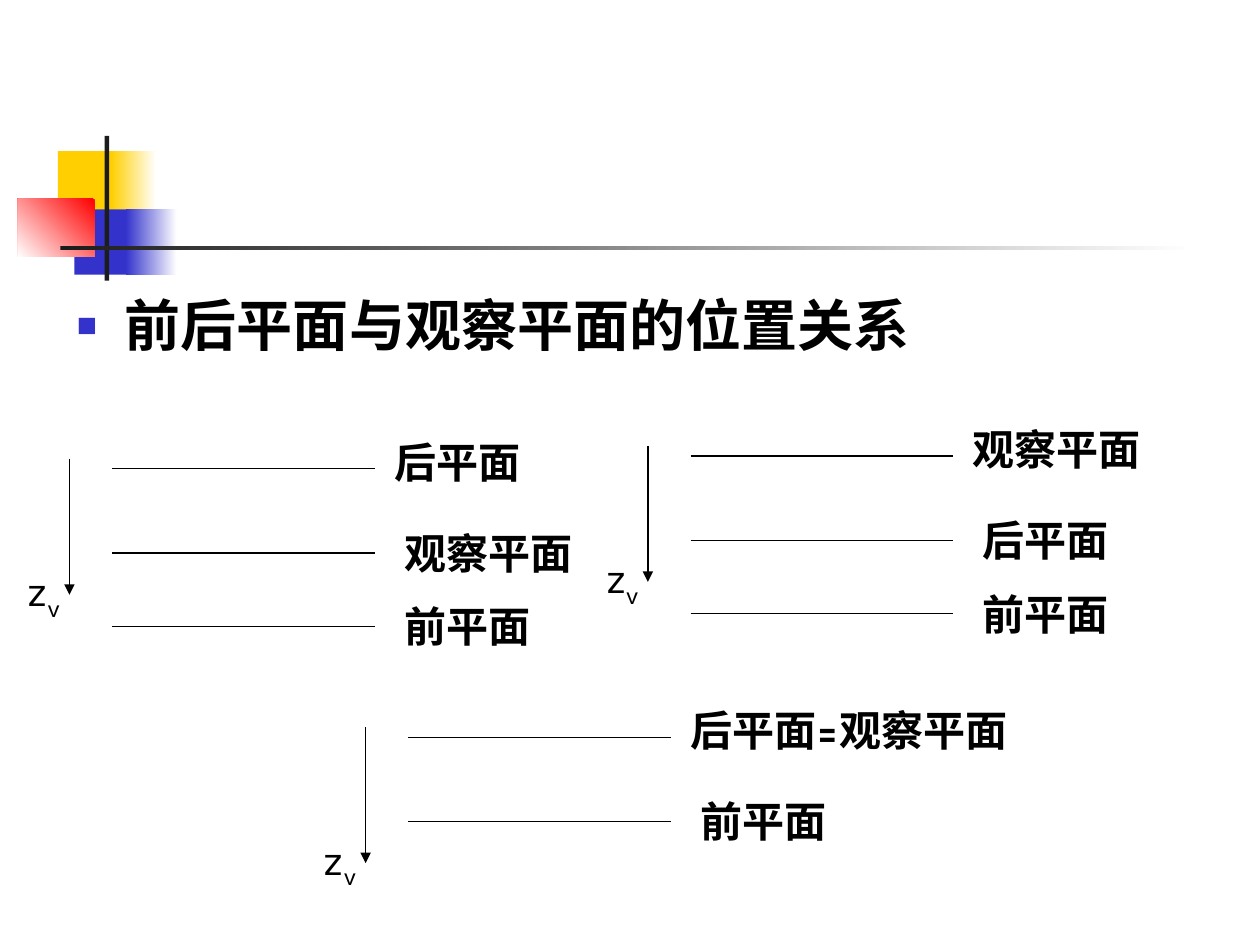
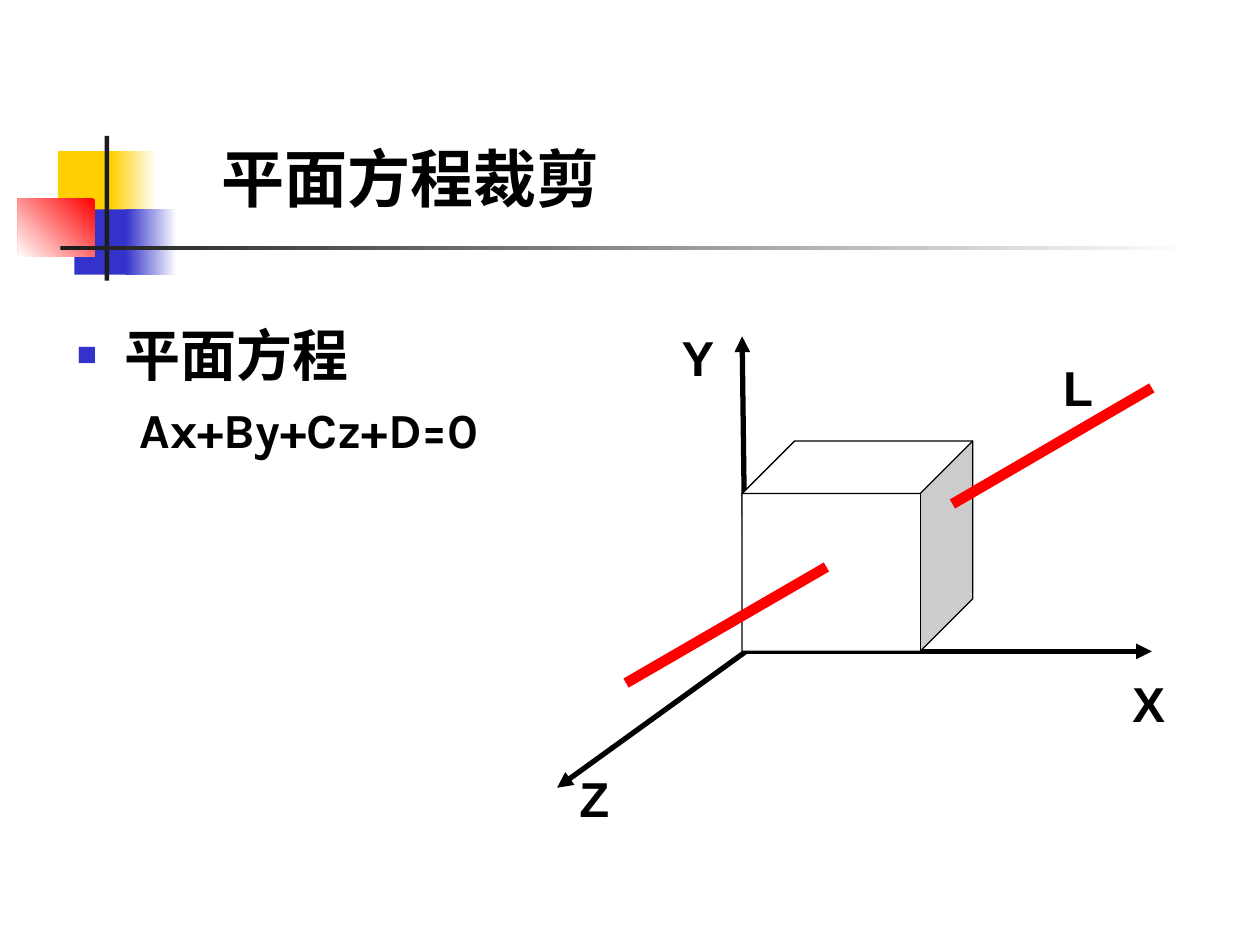
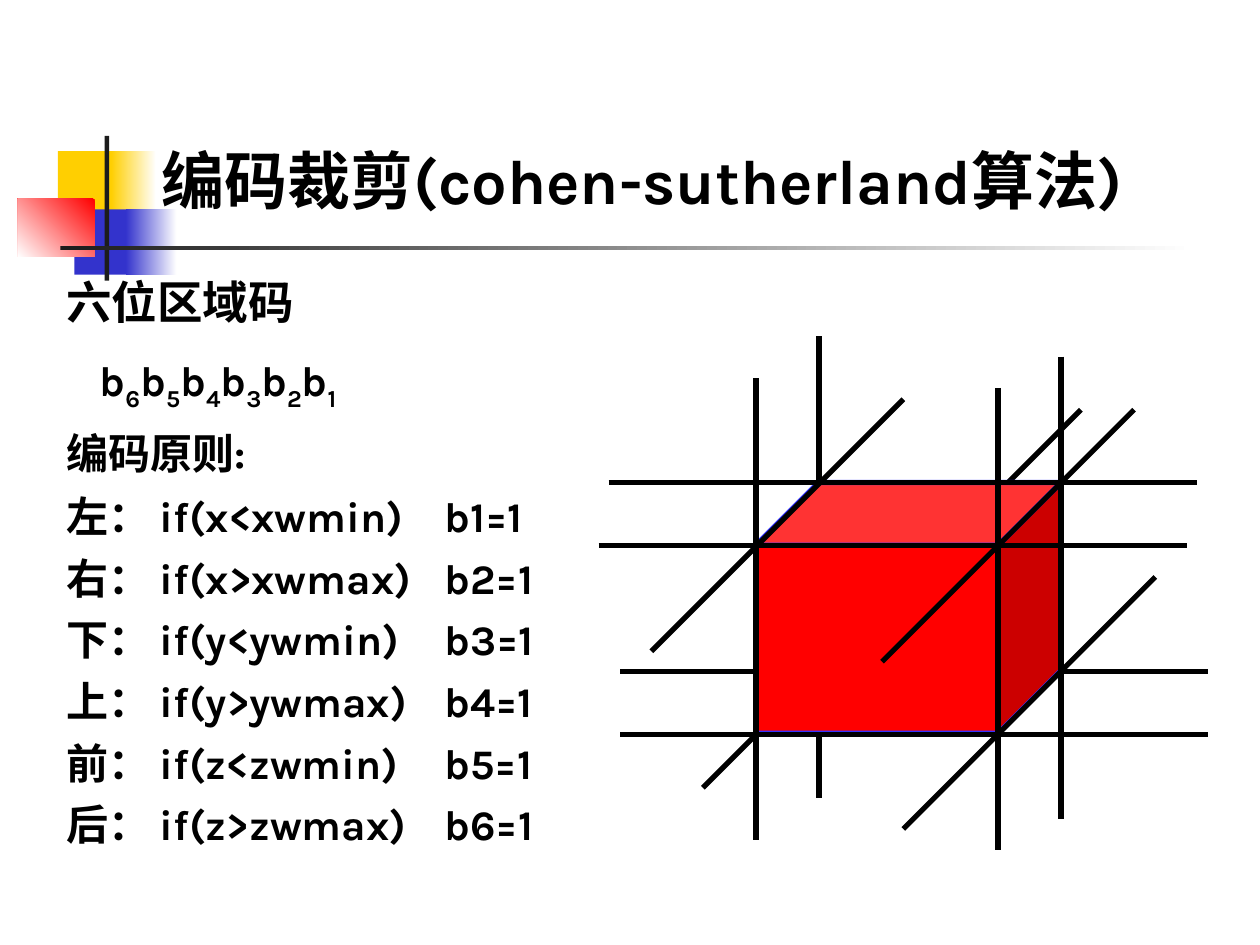
"""Builds three slides on plane positions, plane-equation clipping and region-code clipping."""
from lxml import etree
from pptx import Presentation
from pptx.dml.color import RGBColor
from pptx.enum.shapes import MSO_CONNECTOR, MSO_SHAPE
from pptx.enum.text import MSO_ANCHOR, MSO_AUTO_SIZE
from pptx.oxml.ns import qn
from pptx.util import Cm, Pt

STRAIGHT = MSO_CONNECTOR.STRAIGHT
RECTANGLE, CUBE = MSO_SHAPE.RECTANGLE, MSO_SHAPE.CUBE
TOP, BOTTOM = MSO_ANCHOR.TOP, MSO_ANCHOR.BOTTOM
FIT_SHAPE, NO_FIT = MSO_AUTO_SIZE.SHAPE_TO_FIT_TEXT, MSO_AUTO_SIZE.NONE

BLACK = RGBColor(0, 0, 0)
WHITE = RGBColor(255, 255, 255)
RED = RGBColor(255, 0, 0)
YELLOW = RGBColor(0xFF, 0xCF, 0x01)
BLUE = RGBColor(0x33, 0x33, 0xCC)
EDGE_BLUE = RGBColor(0x33, 0x33, 0xFF)
CHARCOAL = RGBColor(0x1C, 0x1C, 0x1C)

BODY_FONT, LABEL_FONT = "Karla", "Arial"

# Each band: box, colour, angle of its fade to white (None when solid).
BANDS = [
    ((1.17, 3.05, 1.22, 1.32), YELLOW, None),
    ((2.24, 3.05, 0.91, 1.32), YELLOW, 0),
    ((1.5, 4.22, 1.17, 1.32), BLUE, None),
    ((2.54, 4.22, 1.02, 1.32), BLUE, 0),
    ((0.36, 4.01, 1.55, 1.17), RED, 225),
    ((2.11, 2.74, 0.09, 2.92), CHARCOAL, None),
    ((1.22, 4.95, 22.86, 0.09), CHARCOAL, 0),
]

POSITION_HEADING = "前后平面与观察平面的位置关系"
PLANE_DIAGRAMS = [
    ((1.4, 9.25), ["后平面", "观察平面", "前平面"]),
    ((13.06, 8.99), ["观察平面", "后平面", "前平面"]),
    ((7.37, 14.66), ["后平面=观察平面", "前平面"]),
]
PLANE_OFFSETS = [0.2, 1.9, 3.38]
LABEL_OFFSETS = [(6.3, -0.78), (6.5, -0.64), (6.5, -0.64)]

EQUATION_TITLE = "平面方程裁剪"
EQUATION_HEADING, EQUATION = "平面方程", "Ax+By+Cz+D=0"
ORIGIN = (15.04, 13.13)
AXIS_ENDS = [(11.23, 15.88), (14.96, 6.78), (23.22, 13.13)]
SEGMENT_PARTS = [((12.62, 13.77), (16.66, 11.43)), ((19.2, 10.16), (23.22, 7.82))]
AXIS_LABELS = [("L", 21.18, 7.09), ("X", 22.58, 13.46), ("Y", 13.49, 6.48), ("Z", 11.43, 15.37)]

CODE_TITLE = "编码裁剪(cohen-sutherland算法)"
CODE_HEADING, RULE_HEADING = "六位区域码", "编码原则:"
CODE_BITS = ("b", "6", "b", "5", "b", "4", "b", "3", "b", "2", "b", "1")
CODE_RULES = [
    ("左", "x<xwmin", "b1"),
    ("右", "x>xwmax", "b2"),
    ("下", "y<ywmin", "b3"),
    ("上", "y>ywmax", "b4"),
    ("前", "z<zwmin", "b5"),
    ("后", "z>zwmax", "b6"),
]
DOWN, ACROSS, SLANT, LONG_SLANT = (0, 9.31), (11.85, 0), (-5.08, 5.08), (-7.62, 7.62)
EDGES_BEHIND = [((16.51, 6.78), DOWN), ((21.79, 8.26), LONG_SLANT), ((12.5, 13.54), ACROSS)]
EDGES_IN_FRONT = [
    ((12.07, 11), ACROSS), ((12.5, 14.81), ACROSS), ((12.27, 9.73), ACROSS),
    ((22.86, 8.26), SLANT), ((18.21, 8.05), SLANT), ((23.29, 11.63), SLANT),
    ((15.24, 7.62), DOWN), ((20.12, 7.82), DOWN), ((21.39, 7.19), DOWN),
]


def add_solid(shapes, kind, box, colour, edge=None, edge_width=0.75):
    solid = shapes.add_shape(kind, *map(Cm, box))
    solid.shadow.inherit = False
    solid.fill.solid()
    solid.fill.fore_color.rgb = colour
    if edge is None:
        solid.line.fill.background()
    else:
        solid.line.color.rgb = edge
        solid.line.width = Pt(edge_width)
    return solid


def add_line(shapes, start, end, width=0.75, colour=BLACK, arrow=False):
    line = shapes.add_connector(STRAIGHT, *map(Cm, (*start, *end)))
    line.line.color.rgb = colour
    line.line.width = Pt(width)
    if arrow:
        etree.SubElement(line.line._get_or_add_ln(), qn("a:tailEnd"), type="triangle")
    etree.SubElement(line._element.spPr, qn("a:effectLst"))


def add_bullet(properties):
    colour = etree.SubElement(properties, qn("a:buClr"))
    etree.SubElement(colour, qn("a:srgbClr"), val=str(BLUE))
    etree.SubElement(properties, qn("a:buSzPct"), val="60000")
    etree.SubElement(properties, qn("a:buFont"), typeface=LABEL_FONT)
    etree.SubElement(properties, qn("a:buChar"), char="■")


def add_text(shapes, box, paragraphs, size=24, font=BODY_FONT, bold=True, wrap=False, anchor=TOP):
    """Each paragraph is (runs, format); every second run is a subscript."""
    frame = shapes.add_textbox(*map(Cm, box)).text_frame
    frame.word_wrap = wrap
    frame.auto_size = NO_FIT if wrap else FIT_SHAPE
    frame.vertical_anchor = anchor
    for number, (runs, style) in enumerate(paragraphs):
        paragraph = frame.paragraphs[0] if number == 0 else frame.add_paragraph()
        properties = paragraph._p.get_or_add_pPr()
        properties.set("marL", str(Cm(style.get("margin", 0))))
        properties.set("indent", str(Cm(style.get("indent", 0))))
        if style.get("bullet"):
            add_bullet(properties)
        if "tab" in style:
            stops = etree.SubElement(properties, qn("a:tabLst"))
            etree.SubElement(stops, qn("a:tab"), pos=str(Cm(style["tab"])), algn="l")
        if "before" in style:
            paragraph.space_before = Pt(style["before"])
        if "spacing" in style:
            paragraph.line_spacing = style["spacing"]
        for position, words in enumerate(runs):
            run = paragraph.add_run()
            run.text = words
            run.font.name, run.font.bold = font, bold
            run.font.size = Pt(style.get("size", size))
            run.font.color.rgb = BLACK
            if position % 2:
                run._r.get_or_add_rPr().set("baseline", "-25000")


def add_slide(deck):
    shapes = deck.slides.add_slide(deck.slide_layouts[6]).shapes
    for box, colour, fade_angle in BANDS:
        band = add_solid(shapes, RECTANGLE, box, colour)
        if fade_angle is not None:
            band.fill.gradient()
            for stop, shade in zip(band.fill.gradient_stops, (colour, WHITE)):
                stop.color.rgb = shade
            band.fill.gradient_angle = fade_angle
    return shapes


def bullet_heading(words):
    return (words,), {"bullet": True, "margin": 0.97, "indent": -0.97, "size": 32}


def add_plane_diagram(shapes, corner, planes):
    left, top = corner
    for plane, drop, (label_x, label_y) in zip(planes, PLANE_OFFSETS, LABEL_OFFSETS):
        y = top + drop
        add_line(shapes, (left + 0.86, y), (left + 6.15, y))
        label_box = (left + label_x, y + label_y, 0.85 * len(plane) + 0.55, 1.27)
        add_text(shapes, label_box, [((plane,), {})])
    add_line(shapes, corner, (left, top + 2.74), arrow=True)
    add_text(shapes, (left - 1.09, top + 2.01, 1.2, 1.42), [(("z", "v"), {})], bold=False)


def build_positions(deck):
    shapes = add_slide(deck)
    add_text(shapes, (1.3, 5.74, 24.1, 8.89), [bullet_heading(POSITION_HEADING)], wrap=True)
    for corner, planes in PLANE_DIAGRAMS:
        add_plane_diagram(shapes, corner, planes)


def build_equation(deck):
    shapes = add_slide(deck)
    equation = (EQUATION,), {"margin": 1.27, "before": 7, "size": 28}
    add_text(shapes, (1.3, 6.33, 11, 5), [bullet_heading(EQUATION_HEADING), equation], wrap=True)
    for axis_end in AXIS_ENDS:
        add_line(shapes, ORIGIN, axis_end, width=3, arrow=True)
    add_solid(shapes, CUBE, (14.96, 8.89, 4.65, 4.24), WHITE, edge=BLACK)
    for start, end in SEGMENT_PARTS:
        add_line(shapes, start, end, width=6, colour=RED)
    for letter, x, y in AXIS_LABELS:
        add_text(shapes, (x, y, 1.15, 1.45), [((letter,), {})], size=28, font=LABEL_FONT)
    title = (EQUATION_TITLE,), {"margin": 0.33}
    add_text(shapes, (3.89, 2.51, 12.4, 1.96), [title], size=36, wrap=True, anchor=BOTTOM)


def add_edges(shapes, edges):
    for (x, y), (run, drop) in edges:
        add_line(shapes, (x, y), (x + run, y + drop), width=3)


def build_region_code(deck):
    shapes = add_slide(deck)
    cage = shapes.add_group_shape().shapes
    add_edges(cage, EDGES_BEHIND)
    add_solid(cage, CUBE, (15.24, 9.73, 6.15, 5.05), RED, edge=EDGE_BLUE, edge_width=3)
    add_edges(cage, EDGES_IN_FRONT)
    paragraphs = [
        ((CODE_HEADING,), {"size": 26, "spacing": 0.9}),
        (CODE_BITS, {"margin": 0.67, "before": 15, "spacing": 0.9}),
        ((RULE_HEADING,), {"before": 15, "spacing": 0.9}),
    ]
    for side, test, bit in CODE_RULES:
        rule = f"{side}： if({test})\t{bit}=1"
        paragraphs.append(((rule,), {"before": 15, "spacing": 0.7, "tab": 7.3}))
    add_text(shapes, (1.09, 5.52, 11.81, 13.53), paragraphs, wrap=True)
    add_text(shapes, (3, 2.72, 21.13, 1.78), [((CODE_TITLE,), {})], size=36)


def main():
    deck = Presentation()
    deck.slide_width, deck.slide_height = Cm(25.4), Cm(19.05)
    build_positions(deck)
    build_equation(deck)
    build_region_code(deck)
    deck.save("out.pptx")


if __name__ == "__main__":
    main()
